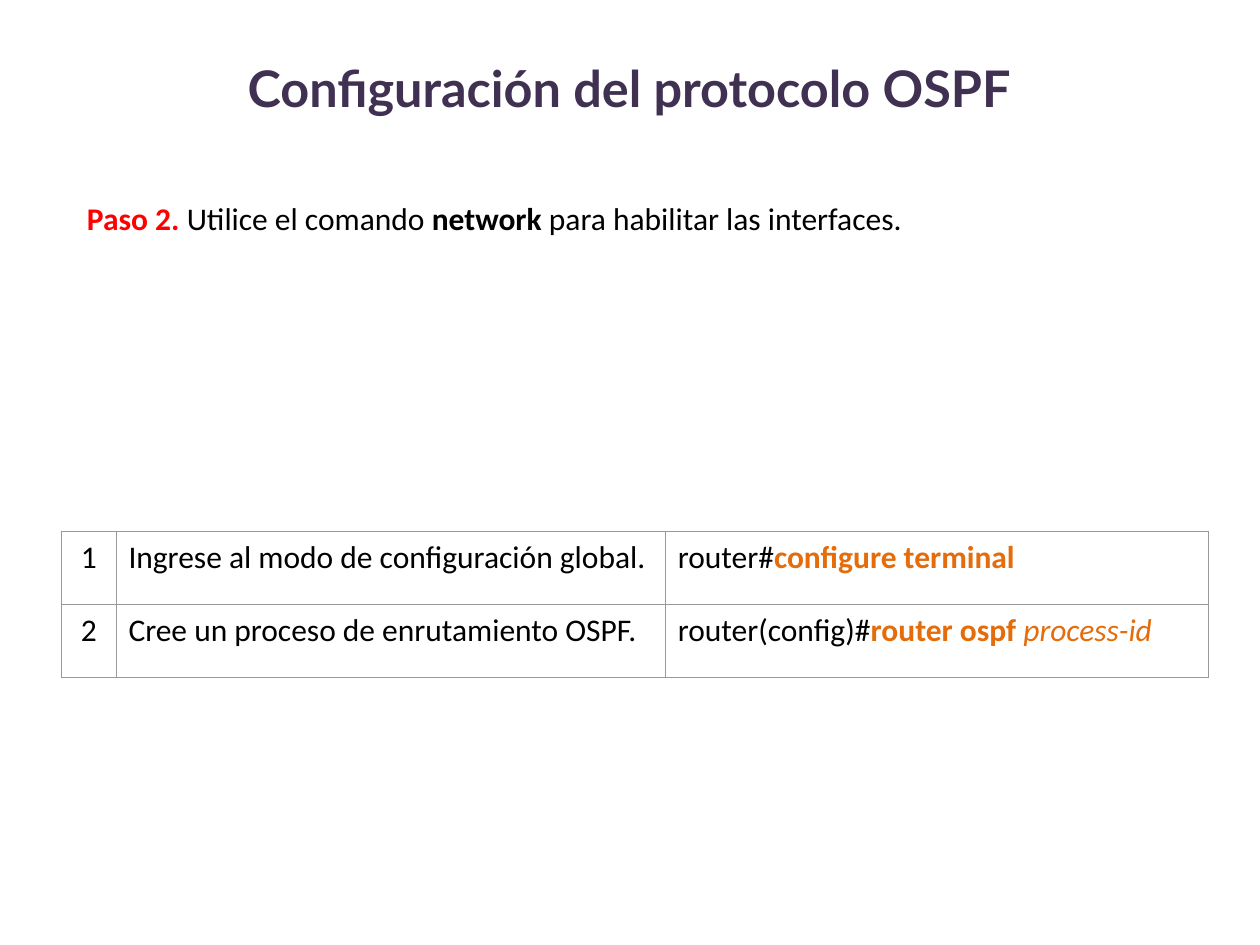
"""Build the slide on configuring the OSPF protocol."""
from dataclasses import dataclass

from lxml.etree import SubElement
from pptx import Presentation
from pptx.dml.color import RGBColor
from pptx.enum.text import MSO_ANCHOR, MSO_AUTO_SIZE, PP_ALIGN
from pptx.oxml.ns import qn
from pptx.util import Inches, Pt

PURPLE = RGBColor(0x40, 0x31, 0x52)
ORANGE = RGBColor(0xE4, 0x6C, 0x0A)
RED = RGBColor(0xFF, 0x00, 0x00)
BLACK = RGBColor(0x00, 0x00, 0x00)
WHITE = RGBColor(0xFF, 0xFF, 0xFF)
GRAY = RGBColor(0x99, 0x99, 0x99)


@dataclass(frozen=True)
class Span:
    text: str
    color: RGBColor = BLACK
    bold: bool = False
    italic: bool = False


@dataclass(frozen=True)
class Step:
    number: str
    action: str
    command: tuple[Span, ...]


STEPS = (
    Step("1", "Ingrese al modo de configuración global.",
         (Span("router#"), Span("configure terminal", ORANGE, bold=True))),
    Step("2", "Cree un proceso de enrutamiento OSPF.",
         (Span("router(config)#"), Span("router ospf ", ORANGE, bold=True),
          Span("process-id", ORANGE, italic=True))),
)
INTRO = (
    Span("Paso 2. ", RED, bold=True),
    Span("Utilice el comando "),
    Span("network ", bold=True),
    Span("para habilitar las interfaces."),
)
COL_WIDTHS = (0.43, 4.36, 4.31)
ROW_HEIGHT = 0.58


def place(shape, left: float, top: float, width: float, height: float) -> None:
    shape.left, shape.top = Inches(left), Inches(top)
    shape.width, shape.height = Inches(width), Inches(height)


def write_spans(p, spans: tuple[Span, ...]) -> None:
    p.font.name, p.font.size = "Calibri", Pt(18)
    for span in spans:
        r = p.add_run()
        r.text = span.text
        r.font.color.rgb = span.color
        r.font.bold, r.font.italic = span.bold, span.italic


def add_borders(cell) -> None:
    tc_pr = cell._tc.get_or_add_tcPr()
    for i, side in enumerate(("lnL", "lnR", "lnT", "lnB")):
        ln = tc_pr.makeelement(qn(f"a:{side}"), {"w": str(Pt(0.5))})
        fill = SubElement(ln, qn("a:solidFill"))
        SubElement(fill, qn("a:srgbClr"), val=str(GRAY))
        tc_pr.insert(i, ln)


def add_title(s) -> None:
    title = s.shapes.title
    place(title, 0.36, 0.45, 9.27, 0.79)
    tf = title.text_frame
    tf.auto_size = MSO_AUTO_SIZE.NONE
    tf.vertical_anchor = MSO_ANCHOR.TOP
    tf.margin_top = 0
    p = tf.paragraphs[0]
    p.text = "Configuración del protocolo OSPF"
    p.alignment = PP_ALIGN.CENTER
    p.font.name, p.font.size, p.font.bold = "Lato", Pt(28.8), True
    p.font.color.rgb = PURPLE


def add_intro(s) -> None:
    body = s.placeholders[1]
    place(body, 0.59, 1.53, 8.43, 0.4)
    tf = body.text_frame
    tf.auto_size = MSO_AUTO_SIZE.SHAPE_TO_FIT_TEXT
    p = tf.paragraphs[0]
    p.space_before = Pt(0)
    p_pr = p._p.get_or_add_pPr()
    p_pr.set("marL", "0")
    p_pr.set("indent", "0")
    SubElement(p_pr, qn("a:buNone"))
    write_spans(p, INTRO)


def add_steps(s, steps: tuple[Step, ...]) -> None:
    frame = s.shapes.add_table(
        len(steps), len(COL_WIDTHS), Inches(0.49), Inches(4.22),
        Inches(sum(COL_WIDTHS)), Inches(ROW_HEIGHT * len(steps)))
    table = frame.table
    table.first_row = table.horz_banding = False
    for column, width in zip(table.columns, COL_WIDTHS):
        column.width = Inches(width)
    for row, step in zip(table.rows, steps):
        row.height = Inches(ROW_HEIGHT)
        contents = ((Span(step.number),), (Span(step.action),), step.command)
        for cell, spans in zip(row.cells, contents):
            cell.fill.solid()
            cell.fill.fore_color.rgb = WHITE
            add_borders(cell)
            write_spans(cell.text_frame.paragraphs[0], spans)
        row.cells[0].text_frame.paragraphs[0].alignment = PP_ALIGN.CENTER


def main() -> None:
    prs = Presentation()
    prs.slide_width, prs.slide_height = Inches(10), Inches(7.5)
    s = prs.slides.add_slide(prs.slide_layouts[1])
    add_title(s)
    add_steps(s, STEPS)
    add_intro(s)
    prs.save("out.pptx")


if __name__ == "__main__":
    main()
